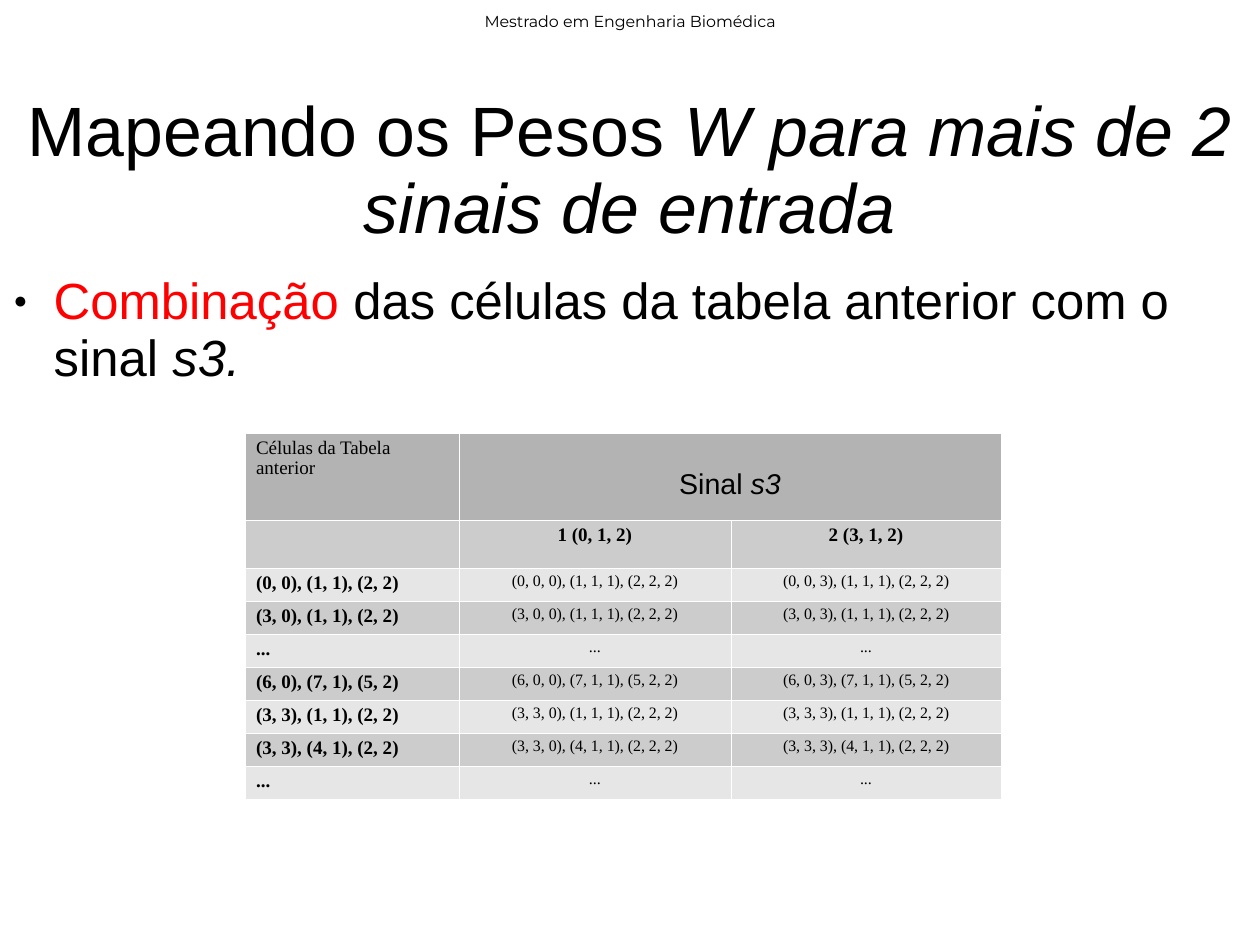
"""Build the slide on combining the cells of the weight table with signal s3."""
from lxml import etree
from pptx import Presentation
from pptx.dml.color import RGBColor
from pptx.enum.text import MSO_ANCHOR, PP_ALIGN
from pptx.oxml.ns import qn
from pptx.util import Pt

CENTER, LEFT, JUST = PP_ALIGN.CENTER, PP_ALIGN.LEFT, PP_ALIGN.JUSTIFY
TOP, MIDDLE = MSO_ANCHOR.TOP, MSO_ANCHOR.MIDDLE

BLACK = RGBColor(0x00, 0x00, 0x00)
WHITE = RGBColor(0xFF, 0xFF, 0xFF)
RED = RGBColor(0xFF, 0x00, 0x00)
DARK = RGBColor(0xB3, 0xB3, 0xB3)
GRAY = RGBColor(0xCC, 0xCC, 0xCC)
LIGHT = RGBColor(0xE6, 0xE6, 0xE6)

WIDTH, HEIGHT = 793.75, 595.25
COLS = [135, 171.4, 170.2]
ROWS = [54.7, 30.2] + [20.8] * 7
BORDER = 0.06

HEAD = {"name": "Montserrat", "size": Pt(10)}
TITLE = {"name": "Arial", "size": Pt(44)}
BODY = {"name": "Arial", "size": Pt(32)}
SIGNAL = {"name": "Arial", "size": Pt(18)}
LABEL = {"name": "Times New Roman", "size": Pt(12)}
BOLD = LABEL | {"bold": True}
VALUE = LABEL | {"size": Pt(10)}
SLANT = {"italic": True}

GAP = None
CELLS = [
    [(0, 0), (1, 1), (2, 2)],
    [(3, 0), (1, 1), (2, 2)],
    GAP,
    [(6, 0), (7, 1), (5, 2)],
    [(3, 3), (1, 1), (2, 2)],
    [(3, 3), (4, 1), (2, 2)],
    GAP,
]
INPUTS = [(0, 1, 2), (3, 1, 2)]


def apply(target, form):
    """Set each attribute of the format on the target."""
    for key, value in form.items():
        setattr(target, key, value)


def write(frame, runs, align, space=0.93):
    """Write one paragraph from (text, format, colour) runs."""
    para = frame.paragraphs[0]
    apply(para, {"alignment": align, "line_spacing": space})
    for text, form, color in runs:
        run = para.add_run()
        run.text = text
        apply(run.font, form)
        run.font.color.rgb = color
    return para


def add_text(slide, place, inset, anchor, runs, align, space=0.93):
    """Add a wrapped text box and return its paragraph."""
    frame = slide.shapes.add_textbox(*map(Pt, place)).text_frame
    side, top, base = map(Pt, inset)
    apply(frame, {"word_wrap": True, "vertical_anchor": anchor,
                  "margin_left": side, "margin_right": side,
                  "margin_top": top, "margin_bottom": base})
    return write(frame, runs, align, space)


def add_bullet(para):
    """Give the paragraph a small round bullet with a hanging indent."""
    props = para._p.get_or_add_pPr()
    props.set("marL", str(Pt(33.84)))
    props.set("indent", str(Pt(-25.2)))
    color = etree.SubElement(props, qn("a:buClr"))
    etree.SubElement(color, qn("a:srgbClr"), val=str(BLACK))
    etree.SubElement(props, qn("a:buSzPct"), val="45000")
    etree.SubElement(props, qn("a:buFont"), typeface="Arial")
    etree.SubElement(props, qn("a:buChar"), char="●")


def style(cell, color):
    """Give the cell thin white borders and a plain fill."""
    props = cell._tc.get_or_add_tcPr()
    for side in ("lnL", "lnR", "lnT", "lnB"):
        line = etree.SubElement(props, qn(f"a:{side}"), w=str(Pt(BORDER)))
        fill = etree.SubElement(line, qn("a:solidFill"))
        etree.SubElement(fill, qn("a:srgbClr"), val=str(WHITE))
    cell.fill.solid()
    cell.fill.fore_color.rgb = color


def join(group):
    """Show a group of tuples as text, or dots for a gap."""
    return ", ".join(map(str, group)) if group else "..."


def combine(group, signal):
    """Extend each tuple of the group by one value of the signal."""
    return group and [pair + (value,) for pair, value in zip(group, signal)]


def add_grid(slide):
    """Add the table that joins each earlier cell with signal s3."""
    place = map(Pt, (154.1, 272.9, sum(COLS), sum(ROWS)))
    table = slide.shapes.add_table(len(ROWS), len(COLS), *place).table
    apply(table, {"first_row": False, "horz_banding": False})
    for col, width in zip(table.columns, COLS):
        col.width = Pt(width)
    for num, (row, height) in enumerate(zip(table.rows, ROWS)):
        row.height = Pt(height)
        color = DARK if num == 0 else GRAY if num % 2 else LIGHT
        for cell in row.cells:
            style(cell, color)

    def put(row, col, text, form, align=CENTER):
        """Write black text into one cell."""
        write(table.cell(row, col).text_frame, [(text, form, BLACK)], align)

    put(0, 0, "Células da Tabela anterior", LABEL, LEFT)
    signal = table.cell(0, 1)
    signal.merge(table.cell(0, 2))
    signal.margin_top = Pt(23.5)
    write(signal.text_frame,
          [("Sinal ", SIGNAL, BLACK), ("s3", SIGNAL | SLANT, BLACK)], CENTER)
    for col, values in enumerate(INPUTS, 1):
        put(1, col, f"{col} {values}", BOLD)
    for row, group in enumerate(CELLS, 2):
        put(row, 0, join(group), BOLD, JUST)
        for col, values in enumerate(INPUTS, 1):
            put(row, col, join(combine(group, values)), VALUE)


def main():
    """Build and save the slide."""
    deck = Presentation()
    apply(deck, {"slide_width": Pt(WIDTH), "slide_height": Pt(HEIGHT)})
    slide = deck.slides.add_slide(deck.slide_layouts[6])
    add_text(slide, (0, 1.8, WIDTH, 20.9), (7.2, 3.6, 3.6), MIDDLE,
             [("Mestrado em Engenharia Biomédica", HEAD, BLACK)], CENTER, 1.18)
    add_text(slide, (0, 57.4, WIDTH, 98.6), (0, 2.9, 0), MIDDLE,
             [("Mapeando os Pesos ", TITLE, BLACK),
              ("W para mais de 2 sinais de entrada", TITLE | SLANT, BLACK)],
             CENTER)
    para = add_text(slide, (0, 170.6, WIDTH, HEIGHT - 170.6), (0, 2.2, 0), TOP,
                    [("Combinação", BODY, RED),
                     (" das células da tabela anterior com o sinal ", BODY, BLACK),
                     ("s3.", BODY | SLANT, BLACK)], LEFT)
    para.space_after = Pt(14.3)
    add_bullet(para)
    add_grid(slide)
    deck.save("out.pptx")


if __name__ == "__main__":
    main()
